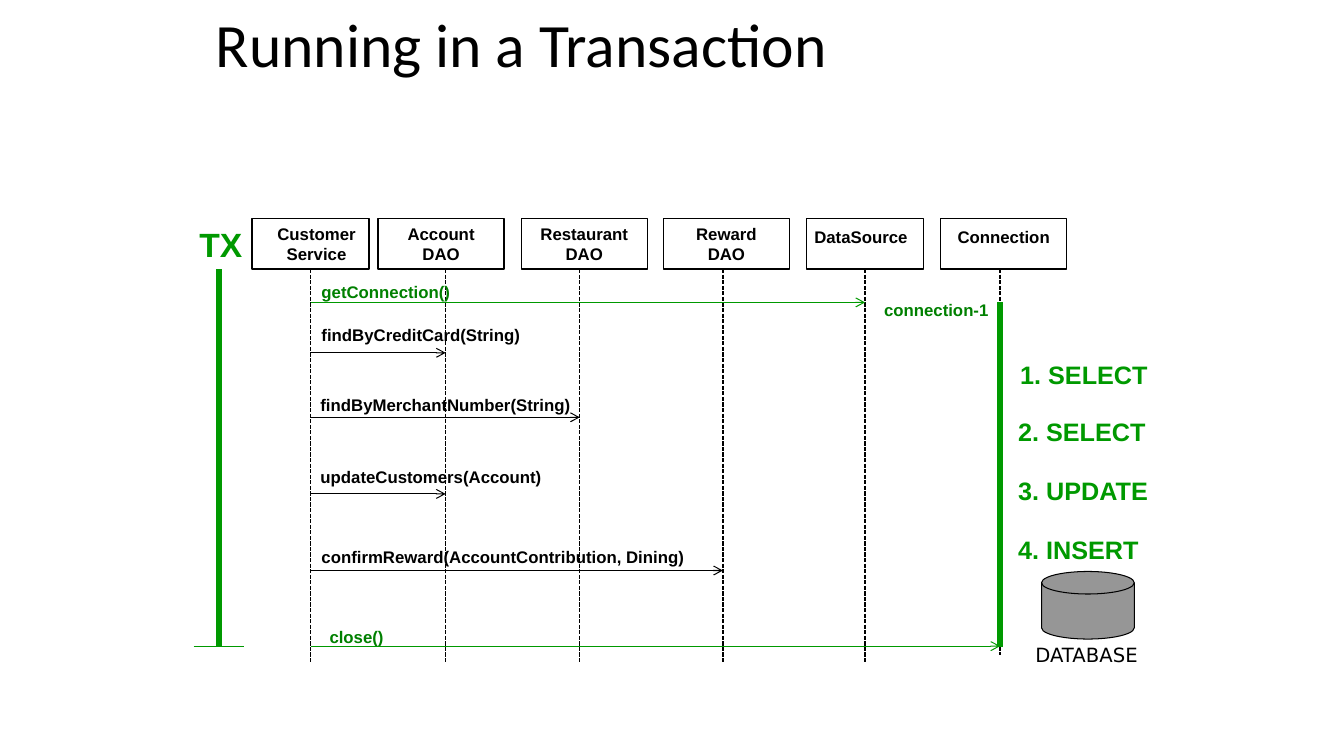
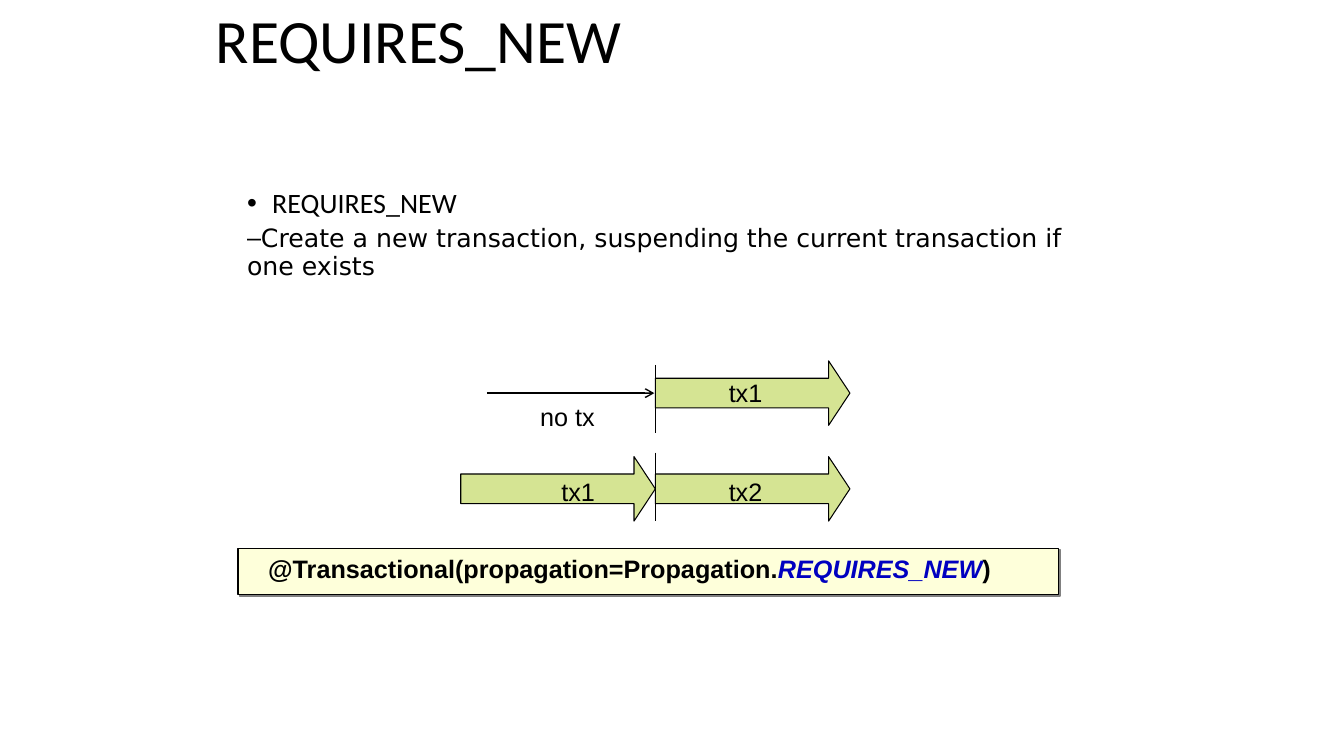
import pptx
import pptx.util
import pptx.dml.color
import pptx.enum.dml
import pptx.enum.shapes
import pptx.enum.text
import pptx.oxml
import pptx.oxml.ns
import lxml.etree

Inches = pptx.util.Inches
Pt = pptx.util.Pt
RGBColor = pptx.dml.color.RGBColor
MSO_SHAPE = pptx.enum.shapes.MSO_SHAPE
MSO_ANCHOR = pptx.enum.text.MSO_ANCHOR
PP_ALIGN = pptx.enum.text.PP_ALIGN
qn = pptx.oxml.ns.qn

BLACK = RGBColor(0x00, 0x00, 0x00)
GREEN = RGBColor(0x00, 0x99, 0x00)
DARK_GREEN = RGBColor(0x00, 0x80, 0x00)
GREY = RGBColor(0x96, 0x96, 0x96)
LIME = RGBColor(0xD5, 0xE4, 0x93)
CREAM = RGBColor(0xFE, 0xFF, 0xDA)
BLUE = RGBColor(0x00, 0x00, 0xC0)

PARTICIPANTS = [
    ("Customer\nService", 0, 1.16, 0.58, 0.06),
    ("Account\nDAO", 1.25, 1.25, 1.92, 0),
    ("Restaurant\nDAO", 2.67, 1.25, 3.25, 0),
    ("Reward\nDAO", 4.08, 1.25, 4.67, 0),
    ("DataSource", 5.5, 1.16, 6.08, -0.04),
    ("Connection", 6.83, 1.25, 7.42, 0),
]
CALLS = [
    ("getConnection()", 0.59, 0.58, 1.49, 0.83, 4, DARK_GREEN, GREEN),
    ("findByCreditCard(String)", 0.59, 1.0, 2.19, 1.33, 1, BLACK, BLACK),
    ("findByMerchantNumber(String)", 0.58, 1.7, 2.7, 1.97, 2, BLACK, BLACK),
    ("updateCustomers(Account)", 0.58, 2.41, 2.41, 2.73, 1, BLACK, BLACK),
    ("confirmReward(AccountContribution, Dining)", 0.59, 3.2, 3.84, 3.49, 3, BLACK, BLACK),
    ("close()", 0.67, 4.0, 0.74, 4.24, 5, DARK_GREEN, GREEN),
]
BAR_MARKS = [0.5, 0.83, 1.33, 1.91, 2.66, 3.5, 4.25]
STATEMENTS = [
    ("1. SELECT", 0.02, 0),
    ("2. SELECT", 0, 0.56),
    ("3. UPDATE", 0, 1.15),
    ("4. INSERT", 0, 1.73),
]


def add_run(p, text, size, color=BLACK, font="Arial", bold=False, italic=False):
    r = p.add_run()
    r.text = text
    r.font.name = font
    r.font.size = Pt(size)
    r.font.color.rgb = color
    r.font.bold = bold
    r.font.italic = italic


def add_label(s, x, y, w, h, text, size, color=BLACK, font="Arial", bold=True):
    sp = s.shapes.add_textbox(Inches(x), Inches(y), Inches(w), Inches(h))
    sp.text_frame.word_wrap = False
    add_run(sp.text_frame.paragraphs[0], text, size, color, font, bold)


def add_line(s, x1, y1, x2, y2, color=BLACK, width=0.75, arrow=False):
    line = s.shapes.add_connector(
        pptx.enum.shapes.MSO_CONNECTOR.STRAIGHT, Inches(x1), Inches(y1), Inches(x2), Inches(y2))
    line.line.color.rgb = color
    line.line.width = Pt(width)
    if arrow:
        ln = line.line._get_or_add_ln()
        lxml.etree.SubElement(ln, qn("a:tailEnd"), type="arrow")
    lxml.etree.SubElement(line._element.spPr, qn("a:effectLst"))
    return line


def add_box(s, kind, x, y, w, h, fill=None, width=0.75):
    sp = s.shapes.add_shape(kind, Inches(x), Inches(y), Inches(w), Inches(h))
    sp.shadow.inherit = False
    if fill is None:
        sp.fill.background()
    else:
        sp.fill.solid()
        sp.fill.fore_color.rgb = fill
    sp.line.color.rgb = BLACK
    sp.line.width = Pt(width)
    return sp


def add_slide(prs, layout, title, top):
    s = prs.slides.add_slide(prs.slide_layouts[layout])
    sp = s.shapes.title
    sp.left, sp.top, sp.width, sp.height = Inches(2.04), Inches(top), Inches(6.88), Inches(0.77)
    tf = sp.text_frame
    tf.auto_size = pptx.enum.text.MSO_AUTO_SIZE.NONE
    tf.vertical_anchor = MSO_ANCHOR.MIDDLE
    p = tf.paragraphs[0]
    p.alignment = PP_ALIGN.LEFT
    p.line_spacing = 0.9
    add_run(p, title, 44, font="Calibri")
    return s


def add_participant(s, x, y, name, width, lifeline, shift, end):
    sp = add_box(s, MSO_SHAPE.RECTANGLE, x, y, width, 0.5, width=1)
    tf = sp.text_frame
    tf.word_wrap = True
    tf.vertical_anchor = MSO_ANCHOR.TOP
    tf.margin_left = Inches(0.05 + max(0, 2 * shift))
    tf.margin_right = Inches(0.05 + max(0, -2 * shift))
    lines = name.split("\n")
    tf.margin_top = Inches(0.05 if len(lines) > 1 else 0.08)
    for i, text in enumerate(lines):
        p = tf.add_paragraph() if i else tf.paragraphs[0]
        p.alignment = PP_ALIGN.CENTER
        add_run(p, text, 12, bold=True)
    line = add_line(s, lifeline, y + 0.5, lifeline, end, width=1)
    line.line.dash_style = pptx.enum.dml.MSO_LINE.SQUARE_DOT
    if round(x + width / 2, 2) == round(lifeline, 2):
        line.begin_connect(sp, 2)


def add_bar(s, x, y, marks):
    for start, end in zip(marks, marks[1:]):
        add_line(s, x, y + start, x, y + end, GREEN, 4.5)


def add_sequence(s, x, y):
    for name, left, width, lifeline, shift in PARTICIPANTS:
        end = 4.33 if name == "Connection" else 4.41
        add_participant(s, x + left, y, name, width, x + lifeline, shift, y + end)
    caller = PARTICIPANTS[0][3]
    for text, left, top, width, line_y, target, color, line_color in CALLS:
        add_label(s, x + left, y + top, width, 0.3, text, 12, color)
        add_line(s, x + caller, y + line_y, x + PARTICIPANTS[target][3], y + line_y,
                 line_color, arrow=True)
    add_label(s, x + 6.17, y + 0.75, 1.24, 0.29, "connection-1", 12, DARK_GREEN)
    add_bar(s, x + PARTICIPANTS[-1][3], y, BAR_MARKS[1:])


def add_transaction(s, x, y):
    add_label(s, x, y, 0.63, 0.49, "TX", 24, GREEN)
    add_bar(s, x + 0.29, y, BAR_MARKS)
    add_line(s, x + 0.04, y + 4.24, x + 0.54, y + 4.24, GREEN)


def add_database(s, x, y):
    for text, left, top in STATEMENTS:
        add_label(s, x + left, y + top, 1.7, 0.39, text, 18, GREEN)
    add_box(s, MSO_SHAPE.FLOWCHART_MAGNETIC_DISK, x + 0.33, y + 2.15, 0.92, 0.67, GREY)
    add_label(s, x + 0.17, y + 2.81, 1.26, 0.34, "DATABASE", 14, font="DejaVu Sans", bold=False)


def add_definition(s, x, y, w, h):
    sp = s.placeholders[1]
    sp.left, sp.top, sp.width, sp.height = Inches(x), Inches(y), Inches(w), Inches(h)
    tf = sp.text_frame
    tf.auto_size = pptx.enum.text.MSO_AUTO_SIZE.NONE
    items = [
        ("REQUIRES_NEW", 20, "Calibri", "•", 0.25, 5),
        ("Create a new transaction, suspending the current transaction if one exists",
         18, "DejaVu Sans", "–", 0, 4.5),
    ]
    for level, (text, size, font, bullet, indent, before) in enumerate(items):
        p = tf.add_paragraph() if level else tf.paragraphs[0]
        p.level = level
        p.line_spacing = 0.9
        p.space_before = Pt(before)
        pPr = p._p.get_or_add_pPr()
        pPr.set("marL", str(Inches(indent)))
        pPr.set("indent", str(-Inches(indent)))
        lxml.etree.SubElement(pPr, qn("a:buChar"), char=bullet)
        add_run(p, text, size, font=font)


def add_tx_arrow(s, x, y):
    arrow = add_box(s, MSO_SHAPE.RIGHT_ARROW, x, y, 1.93, 0.64, LIME)
    arrow.adjustments[0] = 0.46
    arrow.adjustments[1] = 0.33


def add_propagation(s, x, y):
    for left, top in [(1.93, 0), (0, 0.95), (1.93, 0.95)]:
        add_tx_arrow(s, x + left, y + top)
    for top in (0.04, 0.91):
        add_line(s, x + 1.93, y + top, x + 1.93, y + top + 0.68, width=0.25)
    add_line(s, x + 0.26, y + 0.32, x + 1.92, y + 0.32, width=1, arrow=True)
    for text, left, top, width in [("no tx", 0.69, 0.35, 0.87), ("tx1", 2.56, 0.11, 0.54),
                                   ("tx1", 0.9, 1.1, 0.54), ("tx2", 2.56, 1.1, 0.54)]:
        add_label(s, x + left, y + top, width, 0.38, text, 18, bold=False)


def add_code(s, x, y, w, h):
    sp = add_box(s, MSO_SHAPE.RECTANGLE, x, y, w, h, CREAM, 1)
    effects = sp._element.spPr.find(qn("a:effectLst"))
    shadow = lxml.etree.SubElement(effects, qn("a:outerShdw"), dist=str(Pt(1.4)), dir="2700000",
                                   algn="ctr", rotWithShape="0")
    lxml.etree.SubElement(shadow, qn("a:srgbClr"), val="808080")
    tf = sp.text_frame
    tf.word_wrap = True
    tf.vertical_anchor = MSO_ANCHOR.TOP
    tf.margin_left = Inches(0.3)
    p = tf.paragraphs[0]
    p.alignment = PP_ALIGN.LEFT
    add_run(p, "@Transactional(propagation=Propagation.", 18, bold=True)
    add_run(p, "REQUIRES_NEW", 18, BLUE, bold=True, italic=True)
    add_run(p, ")", 18, bold=True)


def main():
    prs = pptx.Presentation()
    prs.slide_width, prs.slide_height = Inches(13.33), Inches(7.5)

    s = add_slide(prs, 5, "Running in a Transaction", 0.09)
    add_sequence(s, 2.5, 2.17)
    add_transaction(s, 1.88, 2.17)
    add_database(s, 10, 3.52)

    s = add_slide(prs, 1, "REQUIRES_NEW", 0.05)
    add_definition(s, 2.35, 1.83, 8.6, 1.01)
    add_propagation(s, 4.57, 3.58)
    add_code(s, 2.36, 5.44, 8.14, 0.46)

    prs.save("out.pptx")


if __name__ == "__main__":
    main()
